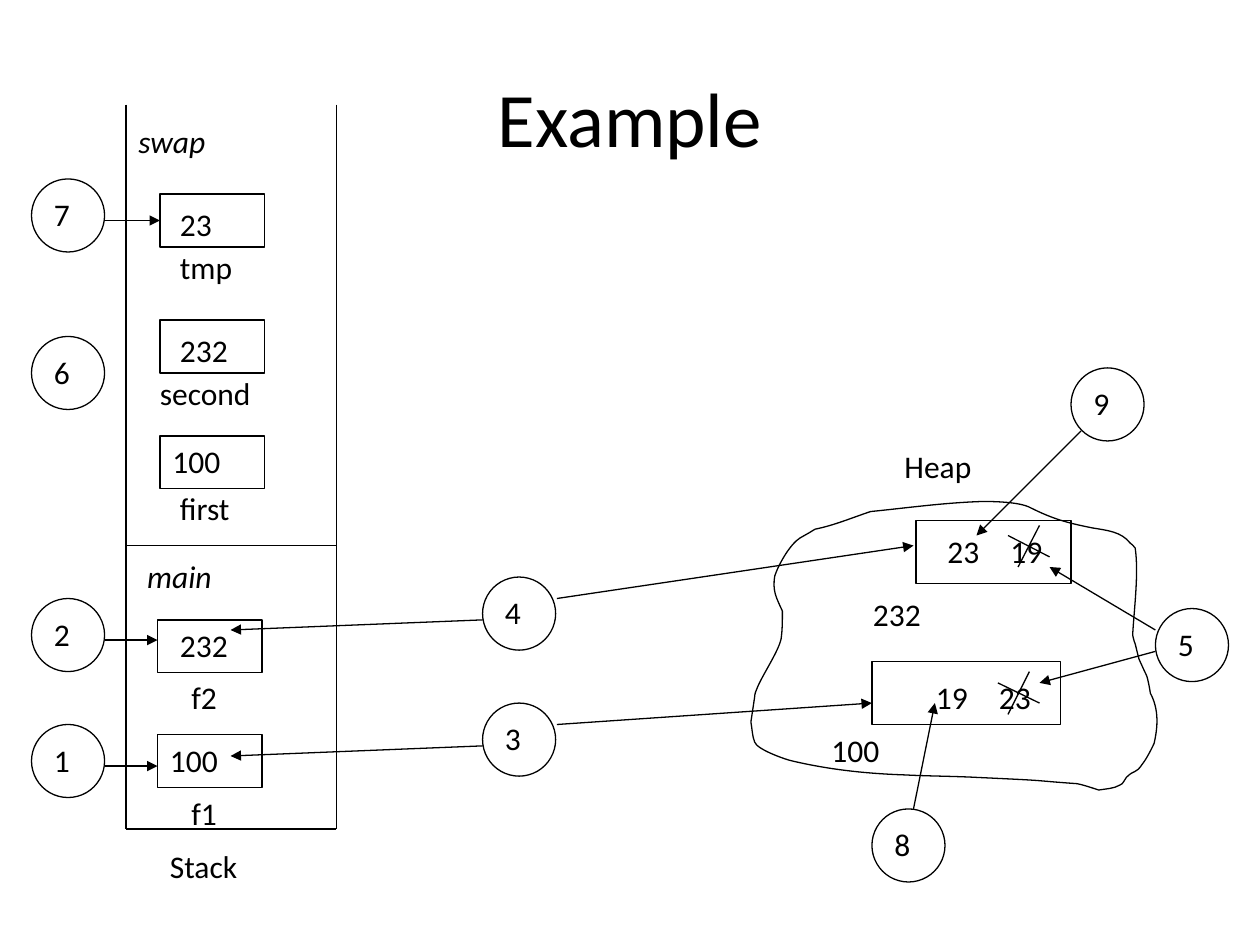
from lxml.etree import Element, SubElement
from pptx import Presentation
from pptx.dml.color import RGBColor
from pptx.enum.shapes import MSO_CONNECTOR as Conn, MSO_SHAPE as Kind
from pptx.enum.text import MSO_ANCHOR as Anchor, MSO_AUTO_SIZE as Fit, PP_ALIGN as Align
from pptx.oxml.ns import qn
from pptx.util import Inches, Pt

COLORS = {"ink": "000000"}
INK = RGBColor.from_string(COLORS["ink"])
FONT = "Calibri"
DISC = 0.58
BOX = (0.83, 0.42)

START = (6.91, 4.06)
CURVES = [
    (6.76, 4.11, 6.62, 4.17, 6.47, 4.2), (6.45, 4.21, 6.44, 4.22, 6.42, 4.23),
    (6.4, 4.25, 6.37, 4.25, 6.35, 4.27), (6.27, 4.32, 6.18, 4.48, 6.15, 4.57),
    (6.13, 4.69, 6.16, 4.74, 6.21, 4.85), (6.21, 4.93, 6.21, 5, 6.2, 5.07),
    (6.18, 5.17, 6.05, 5.36, 6.01, 5.46), (6, 5.48, 5.99, 5.51, 5.99, 5.53),
    (5.98, 5.6, 5.96, 5.73, 5.96, 5.73), (5.97, 5.78, 5.97, 5.84, 5.99, 5.89),
    (6.01, 5.95, 6.24, 6.03, 6.29, 6.04), (6.59, 6.11, 6.88, 6.14, 7.18, 6.15),
    (7.37, 6.16, 7.56, 6.16, 7.75, 6.17), (8.4, 6.2, 8.13, 6.19, 8.55, 6.22),
    (8.6, 6.23, 8.66, 6.25, 8.72, 6.27), (8.78, 6.26, 8.84, 6.26, 8.89, 6.23),
    (8.92, 6.22, 8.92, 6.19, 8.94, 6.17), (9.01, 6.1, 9.01, 6.15, 9.07, 6.06),
    (9.11, 6.01, 9.16, 5.9, 9.16, 5.9), (9.19, 5.77, 9.2, 5.63, 9.13, 5.5),
    (9.13, 5.49, 9.11, 5.38, 9.1, 5.36), (9.08, 5.32, 9.04, 5.23, 9.04, 5.23),
    (9.03, 5.19, 9.02, 5.15, 9.01, 5.11), (9, 5.09, 8.99, 5.04, 8.99, 5.04),
    (9, 4.85, 9.04, 4.55, 9.01, 4.35), (9, 4.33, 8.98, 4.32, 8.97, 4.31),
    (8.9, 4.22, 8.79, 4.21, 8.67, 4.19), (8.47, 4.15, 8.36, 4.12, 8.18, 4.03),
    (8.09, 3.98, 7.86, 3.98, 7.8, 3.98), (7.49, 3.99, 7.21, 4.03, *START),
]
CELLS = [
    (1.25, 5.83, *BOX), (1.25, 4.92, *BOX), (1.27, 3.46, *BOX),
    (1.27, 2.54, *BOX), (6.92, 5.25, 1.5, 0.5), (7.27, 4.13, 1.23, 0.5),
]
WORDS = [
    ("Stack", 1.25, 6.67, 0.83), ("Heap", 7.08, 3.5, 0.8),
    ("f2", 1.42, 5.33, 0.41), ("f1", 1.42, 6.25, 0.41),
    ("second", 1.17, 2.92, 1.01), ("first", 1.33, 3.83, 0.6),
    ("tmp", 1.33, 1.92, 0.62),
]
FRAMES = [("main", 1.07, 4.37, 0.74), ("swap", 1, 0.92, 0.78)]
VALUES = [
    ("232", 1.33, 4.92), ("100", 1.25, 5.83), ("232", 1.33, 2.58),
    ("100", 1.27, 3.46), ("23", 1.33, 1.58), ("100", 6.5, 5.75),
    ("232", 6.83, 4.67), ("19", 7.92, 4.17), ("23", 7.42, 4.17),
    ("23", 7.83, 5.33), ("19", 7.33, 5.33),
]
STAGES = [
    ("1", 0.25, 5.75), ("2", 0.25, 4.75), ("3", 3.83, 5.58),
    ("4", 3.83, 4.58), ("5", 9.17, 4.83), ("6", 0.25, 2.67),
    ("7", 0.25, 1.42), ("8", 6.92, 6.42), ("9", 8.5, 2.92),
]
WALLS = [
    (1, 0.83, 1, 6.58), (2.67, 0.83, 2.67, 6.58),
    (1, 6.58, 2.67, 6.58), (1, 4.33, 2.67, 4.33),
]
STRIKES = [
    (7.92, 5.42, 8.25, 5.58), (8.17, 5.33, 8, 5.67),
    (8, 4.25, 8.33, 4.42), (8.25, 4.17, 8.08, 4.5),
]
ARROWS = [
    (0.83, 6.08, 1.25, 6.08), (0.83, 5.08, 1.25, 5.08),
    (4.42, 5.75, 6.92, 5.58), (3.83, 5.92, 1.83, 6),
    (4.42, 4.75, 7.25, 4.33), (3.83, 4.92, 1.83, 5),
    (9.17, 5, 8.33, 4.5), (9.17, 5.17, 8.25, 5.42),
    (7.25, 6.42, 7.42, 5.58), (8.58, 3.42, 7.75, 4.25),
]


def pen(line):
    line.color.rgb = INK
    line.width = Pt(0.75)


def plain(shape):
    shape.shadow.inherit = False
    shape.fill.background()
    pen(shape.line)
    return shape


def outline(shapes, kind, *area):
    return plain(shapes.add_shape(kind, *map(Inches, area)))


def write(para, text, size, slant=None):
    run = para.add_run()
    run.text = text
    font = run.font
    font.name, font.size, font.italic = FONT, Pt(size), slant
    font.color.rgb = INK


def label(shapes, text, left, top, width, slant=None):
    box = shapes.add_textbox(*map(Inches, (left, top, width, 0.4)))
    frame = box.text_frame
    frame.word_wrap = False
    frame.auto_size = Fit.SHAPE_TO_FIT_TEXT
    write(frame.paragraphs[0], text, 18, slant)


def value(shapes, text, left, top):
    label(shapes, text, left, top, 0.2 + 0.14 * len(text))


def stage(shapes, text, left, top):
    group = shapes.add_group_shape().shapes
    outline(group, Kind.OVAL, left, top, DISC, DISC)
    value(group, text, left + 0.08, top + 0.08)


def rule(shapes, ends, arrow=False):
    line = shapes.add_connector(Conn.STRAIGHT, *map(Inches, ends))
    pen(line.line)
    if arrow:
        SubElement(line.line._get_or_add_ln(), qn("a:tailEnd"), type="triangle")
    SubElement(line._element.spPr, qn("a:effectLst"))
    return line


def blob(shapes, start, curves):
    draft = shapes.build_freeform(*map(Inches, start))
    draft.add_line_segments([tuple(map(Inches, c[4:])) for c in curves], close=False)
    shape = plain(draft.convert_to_shape())
    sides = list(shape._element.iter(qn("a:lnTo")))
    for side, (ax, ay, bx, by, *_) in zip(sides, curves):
        side.tag = qn("a:cubicBezTo")
        for spot, (x, y) in enumerate([(ax, ay), (bx, by)]):
            side.insert(spot, Element(
                qn("a:pt"),
                x=str(Inches(x) - shape.left),
                y=str(Inches(y) - shape.top),
            ))
    SubElement(sides[-1].getparent(), qn("a:close"))


def title(slide, text):
    head = slide.shapes.title
    head.left, head.top, head.width, head.height = map(Inches, (0.5, 0.3, 9, 1.25))
    frame = head.text_frame
    frame.vertical_anchor = Anchor.MIDDLE
    para = frame.paragraphs[0]
    para.alignment = Align.CENTER
    write(para, text, 44)


def main():
    deck = Presentation()
    deck.slide_width, deck.slide_height = Inches(10), Inches(7.5)
    slide = deck.slides.add_slide(deck.slide_layouts[5])
    shapes = slide.shapes
    title(slide, "Example")
    blob(shapes, START, CURVES)
    for ends in WALLS:
        rule(shapes, ends)
    for area in CELLS:
        outline(shapes, Kind.RECTANGLE, *area)
    temp = outline(shapes, Kind.RECTANGLE, 1.27, 1.54, *BOX)
    for item in WORDS:
        label(shapes, *item)
    for item in FRAMES:
        label(shapes, *item, slant=True)
    for item in VALUES:
        value(shapes, *item)
    for item in STAGES:
        stage(shapes, *item)
    for ends in STRIKES:
        rule(shapes, ends)
    for ends in ARROWS:
        rule(shapes, ends, arrow=True)
    rule(shapes, (0.83, 1.75, 1.27, 1.75), arrow=True).end_connect(temp, 1)
    deck.save("out.pptx")


if __name__ == "__main__":
    main()
